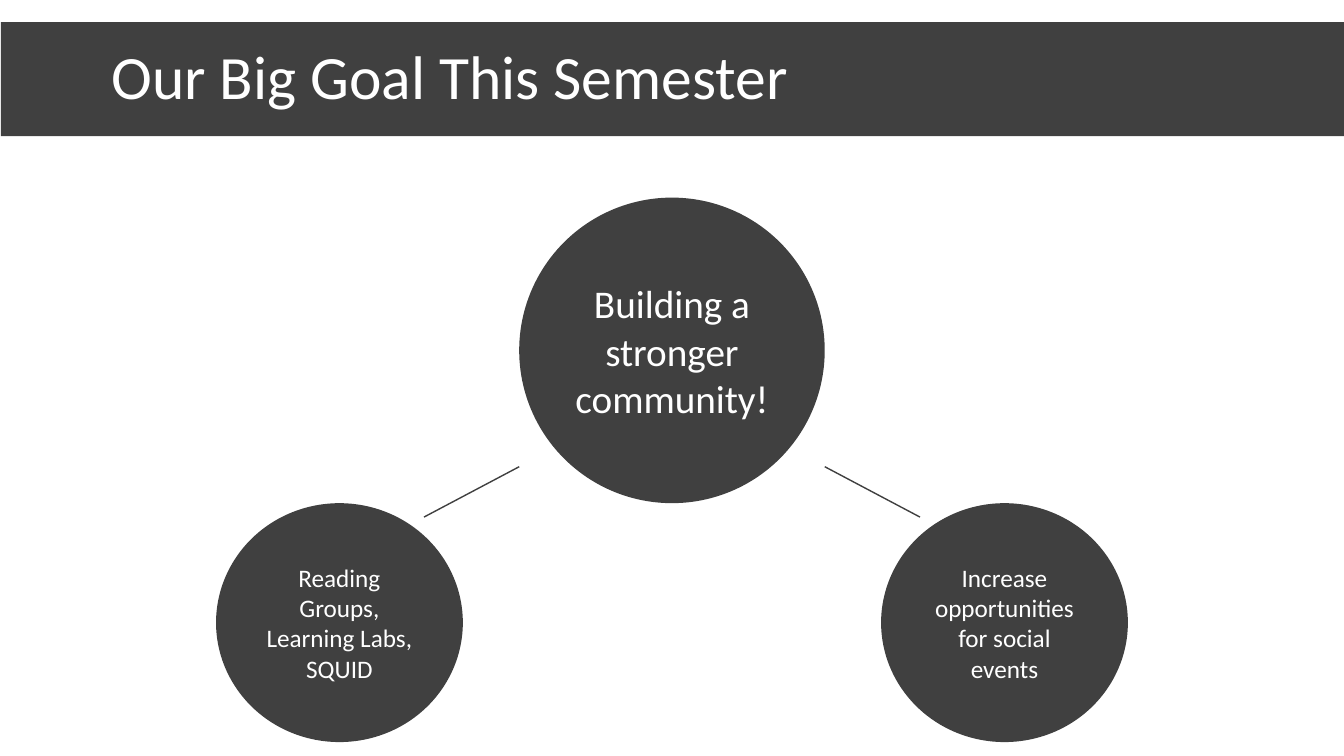
from dataclasses import dataclass

from lxml import etree
from pptx import Presentation
from pptx.dml.color import RGBColor
from pptx.enum import shapes, text
from pptx.oxml import ns
from pptx.util import Cm, Pt

TITLE = "Our Big Goal This Semester"
GOAL = "Building a stronger community!"
STEPS = [
    (-1, "Reading Groups, Learning Labs, SQUID"),
    (1, "Increase opportunities for social events"),
]


@dataclass(frozen=True)
class Theme:
    dark: RGBColor = RGBColor(0x40, 0x40, 0x40)
    light: RGBColor = RGBColor(0xFF, 0xFF, 0xFF)
    font: str = "Calibri"
    title: int = 44
    goal: int = 28
    step: int = 18
    line: int = 1


THEME = Theme()
WIDTH, HEIGHT = 33.87, 19.05
CENTER = WIDTH / 2
BAND = (0.02, 0.56, WIDTH, 2.87)
TITLE_INSET = 2.79
GOAL_TOP, GOAL_SIZE = 4.98, 7.7
STEP_TOP, STEP_WIDTH, STEP_HEIGHT = 12.68, 6.22, 6.02
STEP_OFFSET = 8.38
LINK_START, LINK_END = (GOAL_SIZE / 2, 11.76), (6.25, 13.03)


def set_attributes(target, values):
    for name, value in values.items():
        setattr(target, name, value)


def style(shape, words, size, align):
    shape.fill.solid()
    shape.fill.fore_color.rgb = THEME.dark
    shape.line.fill.background()
    shape.shadow.inherit = False
    frame = shape.text_frame
    frame.text = words
    set_attributes(frame, {
        "word_wrap": True,
        "auto_size": text.MSO_AUTO_SIZE.NONE,
        "vertical_anchor": text.MSO_ANCHOR.MIDDLE,
    })
    paragraph = frame.paragraphs[0]
    paragraph.alignment = align
    font = paragraph.runs[0].font
    set_attributes(font, {"name": THEME.font, "size": Pt(size)})
    font.color.rgb = THEME.light


def add_title(slide):
    title = slide.shapes.title
    left, top, width, height = map(Cm, BAND)
    set_attributes(title, {"left": left, "top": top, "width": width, "height": height})
    style(title, TITLE, THEME.title, text.PP_ALIGN.LEFT)
    title.text_frame.margin_left = Cm(TITLE_INSET)
    title.text_frame.paragraphs[0].line_spacing = 0.9


def add_circle(slide, center, top, width, height, words, size):
    box = map(Cm, (center - width / 2, top, width, height))
    circle = slide.shapes.add_shape(shapes.MSO_SHAPE.OVAL, *box)
    style(circle, words, size, text.PP_ALIGN.CENTER)


def add_link(slide, side):
    ends = [Cm(value) for offset, y in (LINK_START, LINK_END)
            for value in (CENTER + side * offset, y)]
    link = slide.shapes.add_connector(shapes.MSO_CONNECTOR.STRAIGHT, *ends)
    link.line.color.rgb = THEME.dark
    link.line.width = Pt(THEME.line)
    properties = link._element.find(ns.qn("p:spPr"))
    etree.SubElement(properties, ns.qn("a:effectLst"))


def main():
    presentation = Presentation()
    presentation.slide_width, presentation.slide_height = Cm(WIDTH), Cm(HEIGHT)
    slide = presentation.slides.add_slide(presentation.slide_layouts.get_by_name("Title Only"))
    add_title(slide)
    add_circle(slide, CENTER, GOAL_TOP, GOAL_SIZE, GOAL_SIZE, GOAL, THEME.goal)
    for side, words in STEPS:
        add_link(slide, side)
        add_circle(slide, CENTER + side * STEP_OFFSET, STEP_TOP,
                   STEP_WIDTH, STEP_HEIGHT, words, THEME.step)
    presentation.save("out.pptx")


if __name__ == "__main__":
    main()
